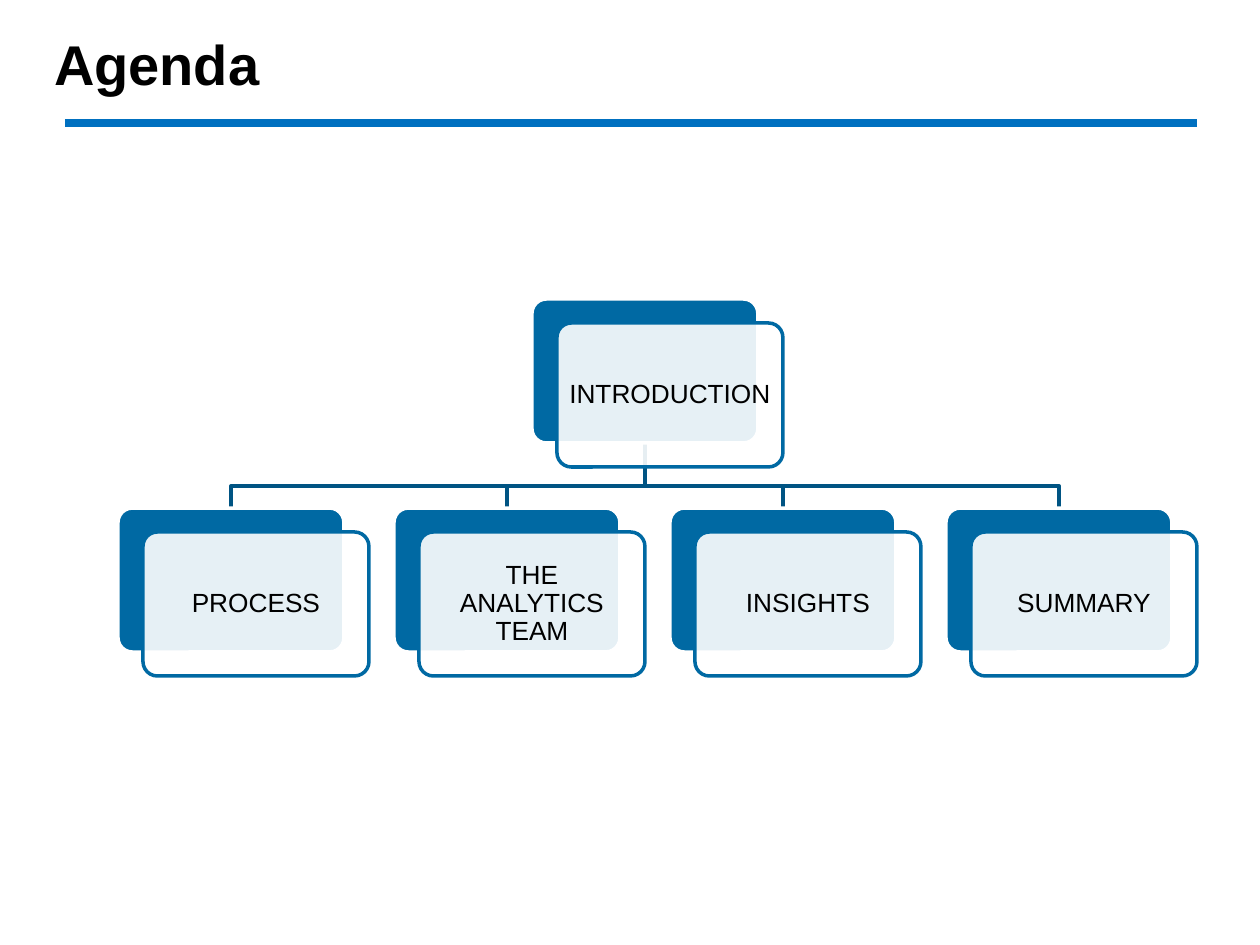
import pptx
import pptx.dml.color
import pptx.enum.shapes
import pptx.enum.text
import pptx.oxml
import pptx.oxml.ns
import pptx.util

SCALE = 914400 / 126
COLORS = {"rule": "0070C0", "card": "0069A3", "branch": "005483",
          "paper": "FFFFFF", "ink": "000000"}
CARD_W, CARD_H = 226, 144
SHIFT_X, SHIFT_Y = 25, 24
ROOT_TOP, TOPIC_TOP, BRANCH_Y = 299, 508, 486
TOPIC_LEFT, TOPIC_PITCH = 118, 276


def emu(pixels):
    return pptx.util.Emu(round(pixels * SCALE))


def rgb(name):
    return pptx.dml.color.RGBColor.from_string(COLORS[name])


class AgendaSlide:
    """Draws styled elements on one slide, measured in pixels."""

    font = "Arial"

    def __init__(self, deck):
        self.slide = deck.slides.add_slide(deck.slide_layouts[5])
        self.shapes = self.slide.shapes

    def label(self, frame, text, size, align, bold=False):
        frame.text = text
        frame.word_wrap = True
        paragraph = frame.paragraphs[0]
        paragraph.alignment = align
        paragraph.line_spacing = 0.9
        paragraph.font.name = self.font
        paragraph.font.size = pptx.util.Pt(size)
        paragraph.font.bold = bold
        paragraph.font.color.rgb = rgb("ink")

    def title(self, text, left, top, width, height):
        heading = self.shapes.title
        heading.left, heading.top = emu(left), emu(top)
        heading.width, heading.height = emu(width), emu(height)
        frame = heading.text_frame
        frame.auto_size = pptx.enum.text.MSO_AUTO_SIZE.NONE
        frame.vertical_anchor = pptx.enum.text.MSO_ANCHOR.BOTTOM
        frame.margin_left = frame.margin_right = 0
        frame.margin_top = frame.margin_bottom = emu(6)
        self.label(frame, text, 32, pptx.enum.text.PP_ALIGN.LEFT, bold=True)

    def rule(self, left, right, y):
        line = self.shapes.add_connector(
            pptx.enum.shapes.MSO_CONNECTOR.STRAIGHT,
            emu(left), emu(y), emu(right), emu(y))
        line.line.color.rgb = rgb("rule")
        line.line.width = pptx.util.Pt(4.5)
        line._element.spPr.append(pptx.oxml.parse_xml(
            "<a:effectLst %s/>" % pptx.oxml.ns.nsdecls("a")))

    def branch(self, points):
        builder = self.shapes.build_freeform(*points[0], scale=SCALE)
        builder.add_line_segments(points[1:], close=False)
        elbow = builder.convert_to_shape()
        elbow.shadow.inherit = False
        elbow.fill.background()
        elbow.line.color.rgb = rgb("branch")
        elbow.line.width = pptx.util.Pt(2)

    def panel(self, left, top, fill, line):
        panel = self.shapes.add_shape(
            pptx.enum.shapes.MSO_SHAPE.ROUNDED_RECTANGLE,
            emu(left), emu(top), emu(CARD_W), emu(CARD_H))
        panel.adjustments[0] = 0.1
        panel.shadow.inherit = False
        panel.fill.solid()
        panel.fill.fore_color.rgb = rgb(fill)
        panel.line.color.rgb = rgb(line)
        panel.line.width = pptx.util.Pt(2)
        return panel

    def card(self, text, left, top):
        self.panel(left, top, "card", "paper")
        front = self.panel(left + SHIFT_X, top + SHIFT_Y, "paper", "card")
        tint = front._element.spPr.find(
            pptx.oxml.ns.qn("a:solidFill") + "/" + pptx.oxml.ns.qn("a:srgbClr"))
        tint.append(pptx.oxml.parse_xml(
            '<a:alpha %s val="90000"/>' % pptx.oxml.ns.nsdecls("a")))
        frame = front.text_frame
        frame.margin_left = frame.margin_right = emu(7)
        frame.margin_top = frame.margin_bottom = emu(7)
        frame.vertical_anchor = pptx.enum.text.MSO_ANCHOR.MIDDLE
        self.label(frame, text, 15, pptx.enum.text.PP_ALIGN.CENTER)


deck = pptx.Presentation()
deck.slide_width, deck.slide_height = emu(1260), emu(945)
agenda = AgendaSlide(deck)
agenda.rule(65, 1197, 123)
agenda.title("Agenda", 54, 20, 407, 84)

topics = ["PROCESS", "THE\vANALYTICS\vTEAM", "INSIGHTS", "SUMMARY"]
topic_lefts = [TOPIC_LEFT + TOPIC_PITCH * i for i in range(len(topics))]
root_left = (topic_lefts[0] + topic_lefts[-1]) // 2
root_center = root_left + CARD_W // 2

for topic_left in reversed(topic_lefts):
    topic_center = topic_left + CARD_W // 2
    agenda.branch([(root_center, ROOT_TOP + CARD_H), (root_center, BRANCH_Y),
                   (topic_center, BRANCH_Y), (topic_center, TOPIC_TOP)])

agenda.card("INTRODUCTION", root_left, ROOT_TOP)
for topic, topic_left in zip(topics, topic_lefts):
    agenda.card(topic, topic_left, TOPIC_TOP)

deck.save("out.pptx")
